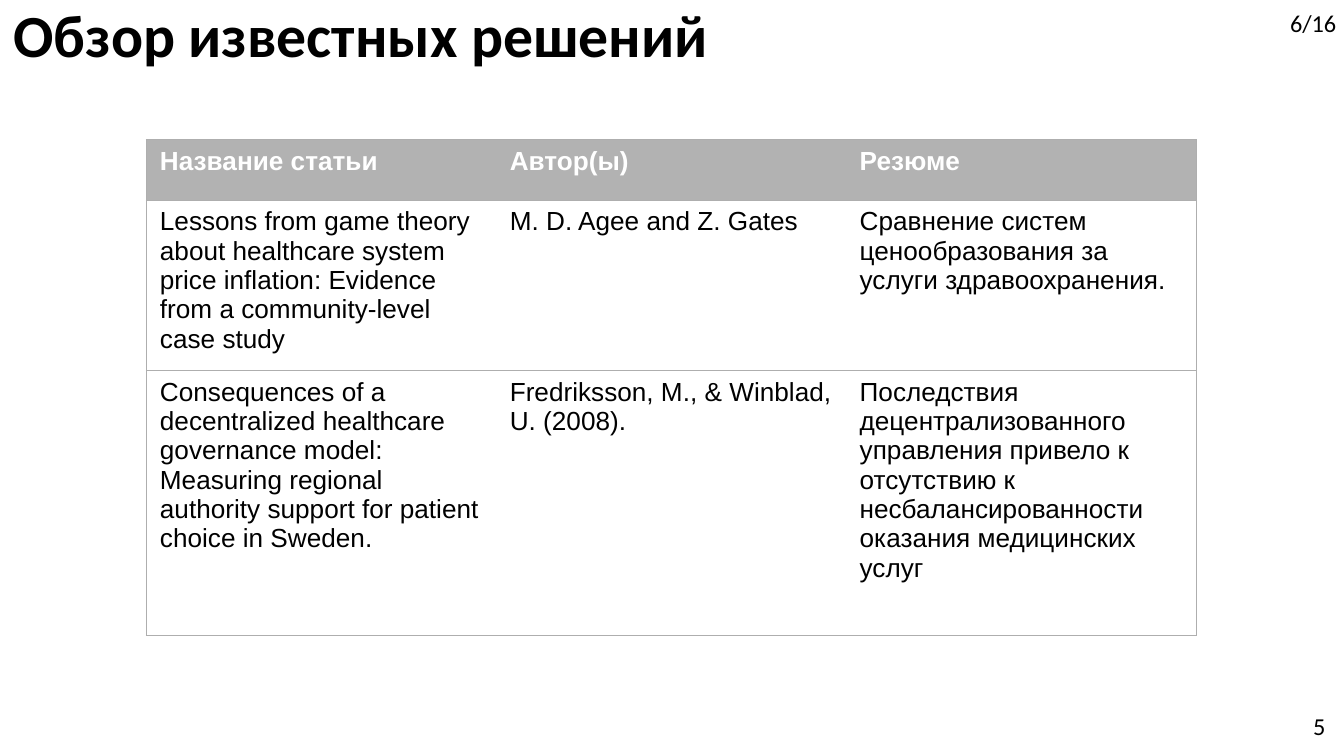
from lxml import etree
from pptx import Presentation
from pptx.dml.color import RGBColor
from pptx.enum.text import MSO_ANCHOR, PP_ALIGN
from pptx.oxml.ns import qn
from pptx.util import Inches, Pt

LEFT, RIGHT = PP_ALIGN.LEFT, PP_ALIGN.RIGHT
MIDDLE = MSO_ANCHOR.MIDDLE
TITLE_ONLY_LAYOUT = 5

COLORS = {"text": "000000", "header_text": "FFFFFF", "header": "B2B2B2",
          "body": "FFFFFF", "border": "AEAEAE"}

ARTICLES = [
    ["Название статьи", "Автор(ы)", "Резюме"],
    ["Lessons from game theory about healthcare system price inflation: "
     "Evidence from a community-level case study",
     "M. D. Agee and Z. Gates",
     "Сравнение систем ценообразования за услуги здравоохранения."],
    ["Consequences of a decentralized healthcare governance model: "
     "Measuring regional authority support for patient choice in Sweden.",
     "Fredriksson, M., & Winblad, U. (2008).",
     "Последствия децентрализованного управления привело к отсутствию "
     "к несбалансированности оказания медицинских услуг"],
]
ROW_HEIGHTS = [0.45, 1.26, 1.97]
TABLE_WIDTH = 7.81


def format_paragraph(paragraph, font_name, size, color="text", bold=False, align=LEFT):
    paragraph.alignment = align
    font = paragraph.font
    font.name = font_name
    font.size = Pt(size)
    font.bold = bold
    font.color.rgb = RGBColor.from_string(COLORS[color])


def add_title(slide, text):
    title = slide.shapes.title
    title.left, title.top = Inches(0), Inches(-0.09)
    title.width, title.height = Inches(9), Inches(0.68)
    frame = title.text_frame
    frame.text = text
    frame.vertical_anchor = MIDDLE
    format_paragraph(frame.paragraphs[0], "Calibri", 32, bold=True)


def add_page_label(slide, text, left, top, width, height, margin, wrap):
    box = slide.shapes.add_textbox(Inches(left), Inches(top), Inches(width), Inches(height))
    frame = box.text_frame
    frame.word_wrap = wrap
    frame.margin_top = frame.margin_bottom = Inches(margin)
    frame.text = text
    format_paragraph(frame.paragraphs[0], "Calibri", 13, align=RIGHT)


def set_borders(cell, visible_sides):
    properties = cell._tc.get_or_add_tcPr()
    for side in "LRTB":
        line = etree.SubElement(properties, qn(f"a:ln{side}"), w=str(Pt(0.75)))
        if side in visible_sides:
            fill = etree.SubElement(line, qn("a:solidFill"))
            etree.SubElement(fill, qn("a:srgbClr"), val=COLORS["border"])
        else:
            etree.SubElement(line, qn("a:noFill"))


def add_articles_table(slide):
    column_count = len(ARTICLES[0])
    table = slide.shapes.add_table(
        len(ARTICLES), column_count, Inches(1.09), Inches(1.04),
        Inches(TABLE_WIDTH), Inches(sum(ROW_HEIGHTS))).table
    table.horz_banding = False
    for column in table.columns:
        column.width = Inches(TABLE_WIDTH / column_count)

    for row_index, texts in enumerate(ARTICLES):
        table.rows[row_index].height = Inches(ROW_HEIGHTS[row_index])
        is_header = row_index == 0
        for column_index, text in enumerate(texts):
            cell = table.cell(row_index, column_index)
            cell.text = text
            format_paragraph(cell.text_frame.paragraphs[0], "Arial", 14,
                             "header_text" if is_header else "text", is_header)
            # Horizontal rules everywhere, vertical ones only on the outside
            sides = "TB"
            if column_index == 0:
                sides += "L"
            if column_index == column_count - 1:
                sides += "R"
            set_borders(cell, sides)
            cell.fill.solid()
            cell.fill.fore_color.rgb = RGBColor.from_string(
                COLORS["header" if is_header else "body"])


def main():
    # Widescreen 16:9 slide
    presentation = Presentation()
    presentation.slide_width = Inches(10)
    presentation.slide_height = Inches(10 * 9 / 16)
    slide = presentation.slides.add_slide(presentation.slide_layouts[TITLE_ONLY_LAYOUT])

    add_title(slide, "Обзор известных решений")

    # Page numbers
    add_page_label(slide, "5", 9.36, 5.19, 0.6, 0.43, margin=0.1, wrap=True)
    add_page_label(slide, "6/16", 9.49, 0.01, 0.55, 0.32, margin=0.05, wrap=False)

    add_articles_table(slide)
    presentation.save("out.pptx")


if __name__ == "__main__":
    main()
